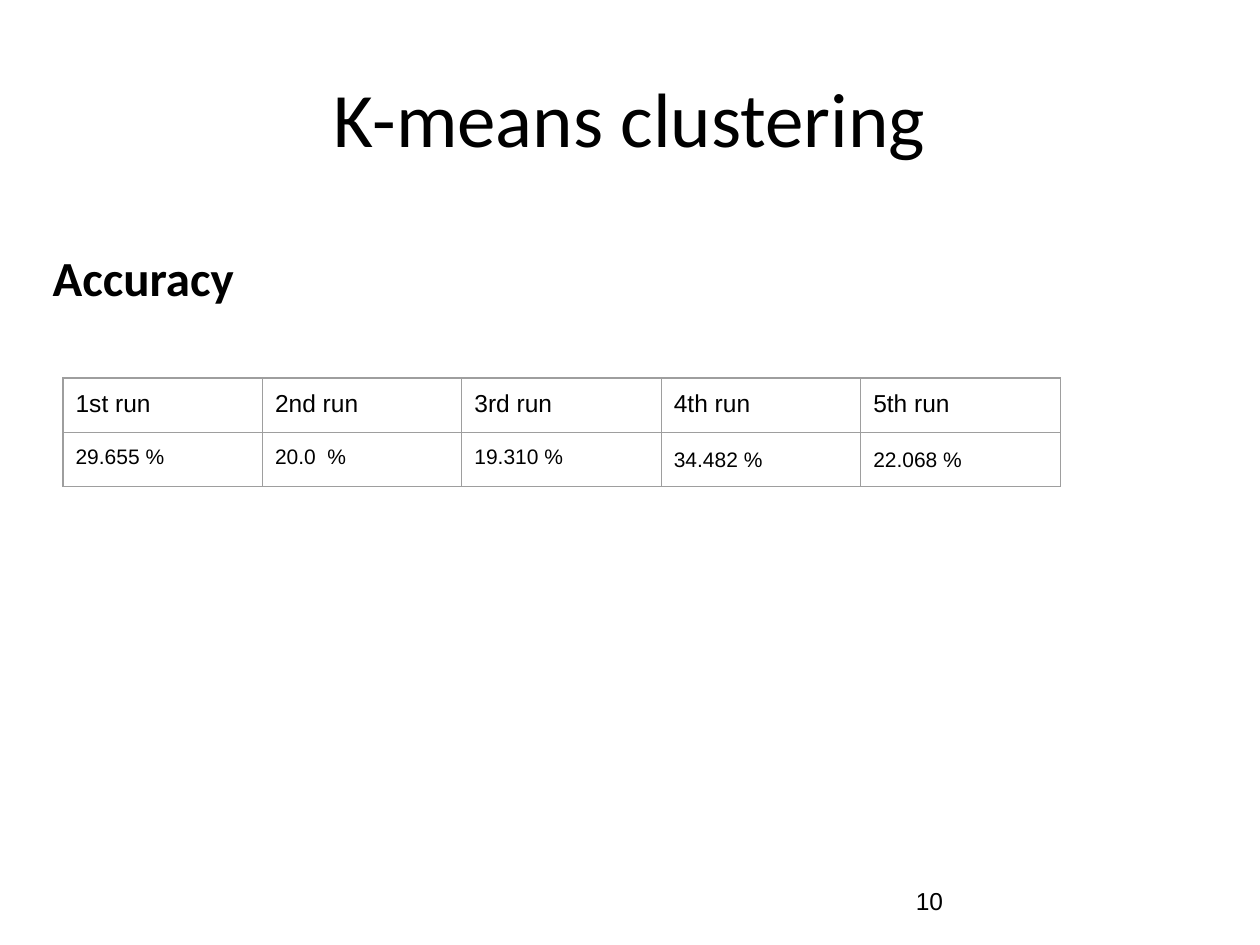
from lxml import etree
from pptx import Presentation
from pptx.dml.color import RGBColor
from pptx.enum.text import MSO_ANCHOR, PP_ALIGN
from pptx.oxml.ns import qn
from pptx.util import Inches, Pt

MIDDLE = MSO_ANCHOR.MIDDLE
LEFT, CENTER = PP_ALIGN.LEFT, PP_ALIGN.CENTER

THEME = {
    "ink": RGBColor.from_string("000000"),
    "rule": "9E9E9E",
    "title": {"name": "Calibri", "size": Pt(44)},
    "head": {"name": "Calibri", "size": Pt(28), "bold": True},
    "label": {"name": "Arial", "size": Pt(14)},
    "value": {"name": "Arial", "size": Pt(12)},
}


def write(frame, text, style, align=LEFT):
    para = frame.paragraphs[0]
    para.alignment = align
    run = para.add_run()
    run.text = text
    for key, value in THEME[style].items():
        setattr(run.font, key, value)
    run.font.color.rgb = THEME["ink"]
    return para


def rule(cell):
    """Draw a thin line on all four sides of a cell."""
    props = cell._tc.get_or_add_tcPr()
    for side in ("lnL", "lnR", "lnT", "lnB"):
        line = etree.SubElement(props, qn(f"a:{side}"), w=str(Pt(0.75)))
        fill = etree.SubElement(line, qn("a:solidFill"))
        etree.SubElement(fill, qn("a:srgbClr"), val=THEME["rule"])


deck = Presentation()
deck.slide_width, deck.slide_height = Inches(10), Inches(7.5)
slide = deck.slides.add_slide(deck.slide_layouts[6])

texts = [
    ("K-means clustering", "title", CENTER, (0.5, 0.3, 9, 1.25), 0.1),
    ("10", "label", LEFT, (7.17, 6.95, 2.33, 0.4), 0.05),
    ("Accuracy", "head", LEFT, (0.32, 1.69, 6.02, 1.01), 0.1),
]
for text, style, align, place, pad in texts:
    frame = slide.shapes.add_textbox(*map(Inches, place)).text_frame
    frame.word_wrap = True
    frame.vertical_anchor = MIDDLE
    frame.margin_left = frame.margin_right = Inches(0.1)
    frame.margin_top = frame.margin_bottom = Inches(pad)
    write(frame, text, style, align)

# Run name, accuracy, line spacing of the accuracy
runs = [
    ("1st run", "29.655 %", 1),
    ("2nd run", "20.0  %", 1),
    ("3rd run", "19.310 %", 1),
    ("4th run", "34.482 %", 1.15),
    ("5th run", "22.068 %", 1.15),
]
wide, high = 1.583, 0.42
grid = slide.shapes.add_table(
    2, len(runs), Inches(0.5), Inches(3),
    Inches(wide * len(runs)), Inches(high * 2)).table
grid.first_row = grid.horz_banding = False

for col, (label, value, space) in enumerate(runs):
    for row, (text, style, gap) in enumerate(
            [(label, "label", 1), (value, "value", space)]):
        cell = grid.cell(row, col)
        rule(cell)
        cell.fill.background()
        for side in ("left", "right", "top", "bottom"):
            setattr(cell, f"margin_{side}", Inches(0.1))
        write(cell.text_frame, text, style).line_spacing = gap

deck.save("out.pptx")
